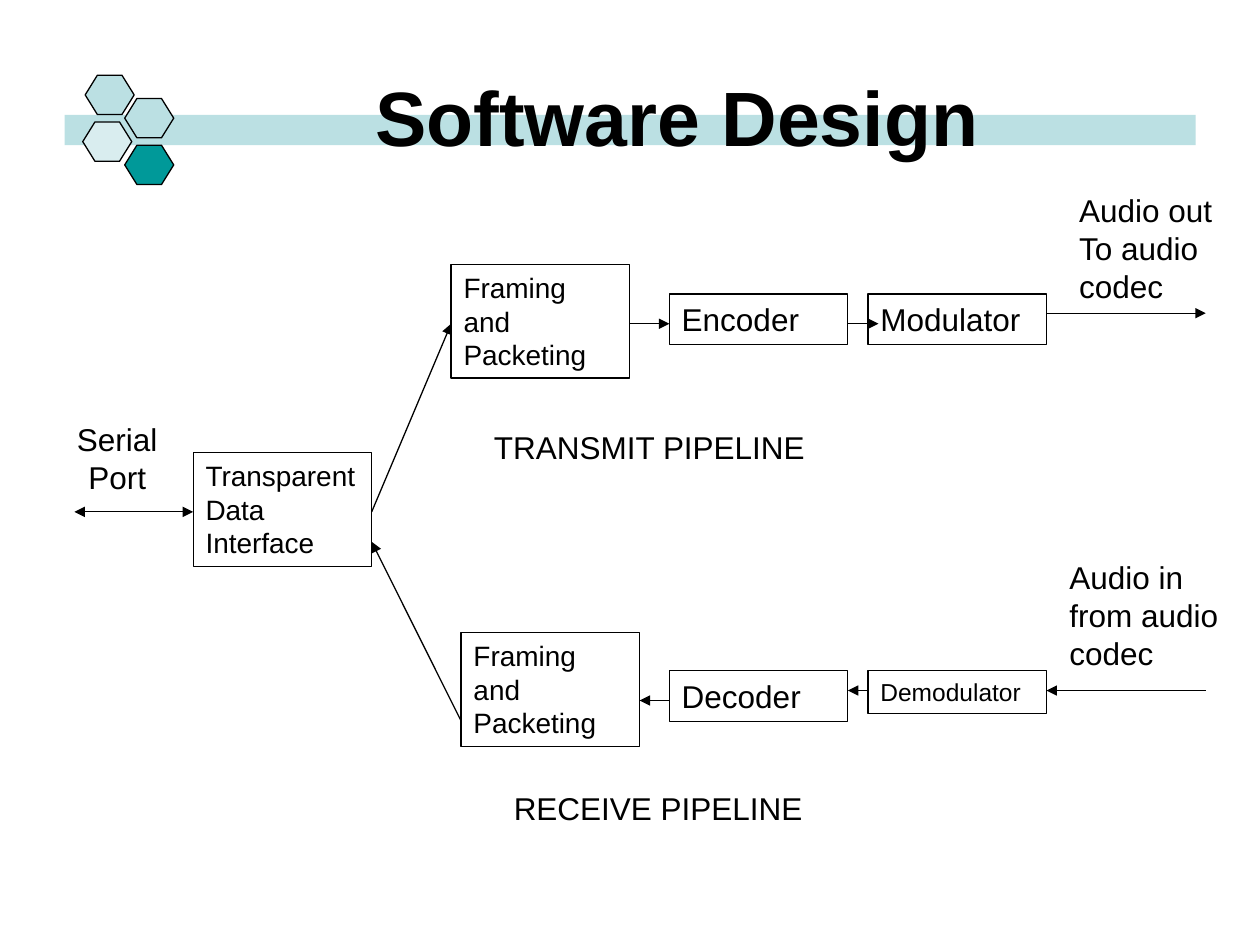
from dataclasses import dataclass

import pptx
import pptx.dml.color
import pptx.enum.shapes
import pptx.enum.text
import pptx.oxml
import pptx.oxml.ns
import pptx.util

Pt = pptx.util.Pt
Shape = pptx.enum.shapes.MSO_SHAPE
Align = pptx.enum.text.PP_ALIGN
Anchor = pptx.enum.text.MSO_ANCHOR
AutoSize = pptx.enum.text.MSO_AUTO_SIZE

FONT = "Arial"
BLACK, PALE_TEAL, LIGHT_TEAL, TEAL = "000000", "BBE0E3", "D9EDEF", "009999"
LINE_WIDTH = 0.75
STAGE_WIDTH = 102
HEXAGON_WIDTH, HEXAGON_HEIGHT = 28, 22.5


@dataclass
class Stage:
    name: str
    left: float
    top: float
    height: float
    size: float


@dataclass
class Label:
    lines: list[str]
    left: float
    top: float
    width: float
    height: float
    align: Align = Align.LEFT


@dataclass
class Arrow:
    start: tuple[float, float]
    end: tuple[float, float]
    both_ends: bool = False


@dataclass
class Hexagon:
    left: float
    top: float
    fill: str


HEXAGONS = [
    Hexagon(48.7, 43, PALE_TEAL),
    Hexagon(71.3, 56.3, PALE_TEAL),
    Hexagon(71.3, 83, TEAL),
    Hexagon(47.3, 69.7, LIGHT_TEAL),
]
STAGES = [
    Stage("Transparent Data Interface", 110.4, 258.6, 65, 16),
    Stage("Framing and Packeting", 257.8, 151, 65, 16),
    Stage("Encoder", 382.5, 168, 29, 18),
    Stage("Modulator", 496, 168, 29, 18),
    Stage("Framing and Packeting", 263.5, 361.5, 65, 16),
    Stage("Decoder", 382.5, 383.3, 29, 18),
    Stage("Demodulator", 496, 383.3, 24.5, 14),
]
LABELS = [
    Label(["Audio out", "To audio", "codec"], 609.5, 105.7, 93, 72),
    Label(["Audio in", "from audio", "codec"], 604, 315.5, 102, 72),
    Label(["Serial", "Port"], 36, 236.5, 62, 50, Align.CENTER),
    Label(["RECEIVE PIPELINE"], 286.5, 447.5, 182, 29),
    Label(["TRANSMIT PIPELINE"], 275.2, 241, 195, 29),
]
ARROWS = [
    Arrow((42.5, 292.5), (110.4, 292.5), both_ends=True),
    Arrow((212.4, 292.5), (257.8, 185)),
    Arrow((360, 185), (382.5, 185)),
    Arrow((484.5, 185), (502, 185)),
    Arrow((598, 179), (689, 179)),
    Arrow((689, 394.6), (598, 394.6)),
    Arrow((496, 394.6), (484.5, 394.6)),
    Arrow((382.5, 400.3), (365.5, 400.3)),
    Arrow((263.5, 412), (212.4, 309.6)),
]


def color(hex_code: str) -> pptx.dml.color.RGBColor:
    return pptx.dml.color.RGBColor.from_string(hex_code)


def add_run(paragraph, text: str, size: float, bold: bool = False) -> None:
    run = paragraph.add_run()
    run.text = text
    run.font.name = FONT
    run.font.size = Pt(size)
    run.font.bold = bold
    run.font.color.rgb = color(BLACK)


def outline(shape) -> None:
    shape.shadow.inherit = False
    shape.line.color.rgb = color(BLACK)
    shape.line.width = Pt(LINE_WIDTH)


def add_title_bar(slide, text: str) -> None:
    """Fill the title placeholder and lay the teal bar behind it."""
    title = slide.shapes.title
    title.left, title.top, title.width, title.height = Pt(63), Pt(21), Pt(648), Pt(90)
    frame = title.text_frame
    frame.vertical_anchor = Anchor.MIDDLE
    frame.paragraphs[0].alignment = Align.CENTER
    add_run(frame.paragraphs[0], text, 44, bold=True)

    bar = slide.shapes.add_shape(Shape.RECTANGLE, Pt(37), Pt(65.7), Pt(646.3), Pt(17.2))
    bar.shadow.inherit = False
    bar.fill.solid()
    bar.fill.fore_color.rgb = color(PALE_TEAL)
    bar.line.fill.background()
    title.element.addprevious(bar.element)


def add_hexagon(group, hexagon: Hexagon) -> None:
    cell = group.shapes.add_shape(
        Shape.HEXAGON, Pt(hexagon.left), Pt(hexagon.top), Pt(HEXAGON_WIDTH), Pt(HEXAGON_HEIGHT)
    )
    cell.adjustments[0] = 0.31
    cell.fill.solid()
    cell.fill.fore_color.rgb = color(hexagon.fill)
    outline(cell)


def add_stage(slide, stage: Stage) -> None:
    box = slide.shapes.add_shape(
        Shape.RECTANGLE, Pt(stage.left), Pt(stage.top), Pt(STAGE_WIDTH), Pt(stage.height)
    )
    box.fill.background()
    outline(box)
    frame = box.text_frame
    frame.word_wrap = True
    frame.auto_size = AutoSize.SHAPE_TO_FIT_TEXT
    frame.vertical_anchor = Anchor.TOP
    paragraph = frame.paragraphs[0]
    paragraph.alignment = Align.LEFT
    paragraph.space_before = Pt(stage.size * 0.625)
    add_run(paragraph, stage.name, stage.size)


def add_label(slide, label: Label) -> None:
    box = slide.shapes.add_textbox(
        Pt(label.left), Pt(label.top), Pt(label.width), Pt(label.height)
    )
    frame = box.text_frame
    frame.word_wrap = True
    frame.auto_size = AutoSize.SHAPE_TO_FIT_TEXT
    for index, line in enumerate(label.lines):
        paragraph = frame.add_paragraph() if index else frame.paragraphs[0]
        paragraph.alignment = label.align
        add_run(paragraph, line, 18)


def add_arrow(slide, arrow: Arrow) -> None:
    connector = slide.shapes.add_connector(
        pptx.enum.shapes.MSO_CONNECTOR.STRAIGHT, *map(Pt, arrow.start + arrow.end)
    )
    connector.line.color.rgb = color(BLACK)
    connector.line.width = Pt(LINE_WIDTH)
    properties = connector.element.spPr
    line = properties.find(pptx.oxml.ns.qn("a:ln"))
    namespace = pptx.oxml.ns.nsdecls("a")
    for tag in ["a:headEnd", "a:tailEnd"] if arrow.both_ends else ["a:tailEnd"]:
        line.append(pptx.oxml.parse_xml(f'<{tag} {namespace} type="triangle"/>'))
    properties.append(pptx.oxml.parse_xml(f"<a:effectLst {namespace}/>"))


def main() -> None:
    presentation = pptx.Presentation()
    presentation.slide_width, presentation.slide_height = Pt(720), Pt(540)
    title_only = presentation.slide_layouts[5]
    slide = presentation.slides.add_slide(title_only)

    add_title_bar(slide, "Software Design")
    honeycomb = slide.shapes.add_group_shape()
    for hexagon in HEXAGONS:
        add_hexagon(honeycomb, hexagon)
    for stage in STAGES:
        add_stage(slide, stage)
    for label in LABELS:
        add_label(slide, label)
    for arrow in ARROWS:
        add_arrow(slide, arrow)

    presentation.save("out.pptx")


if __name__ == "__main__":
    main()
